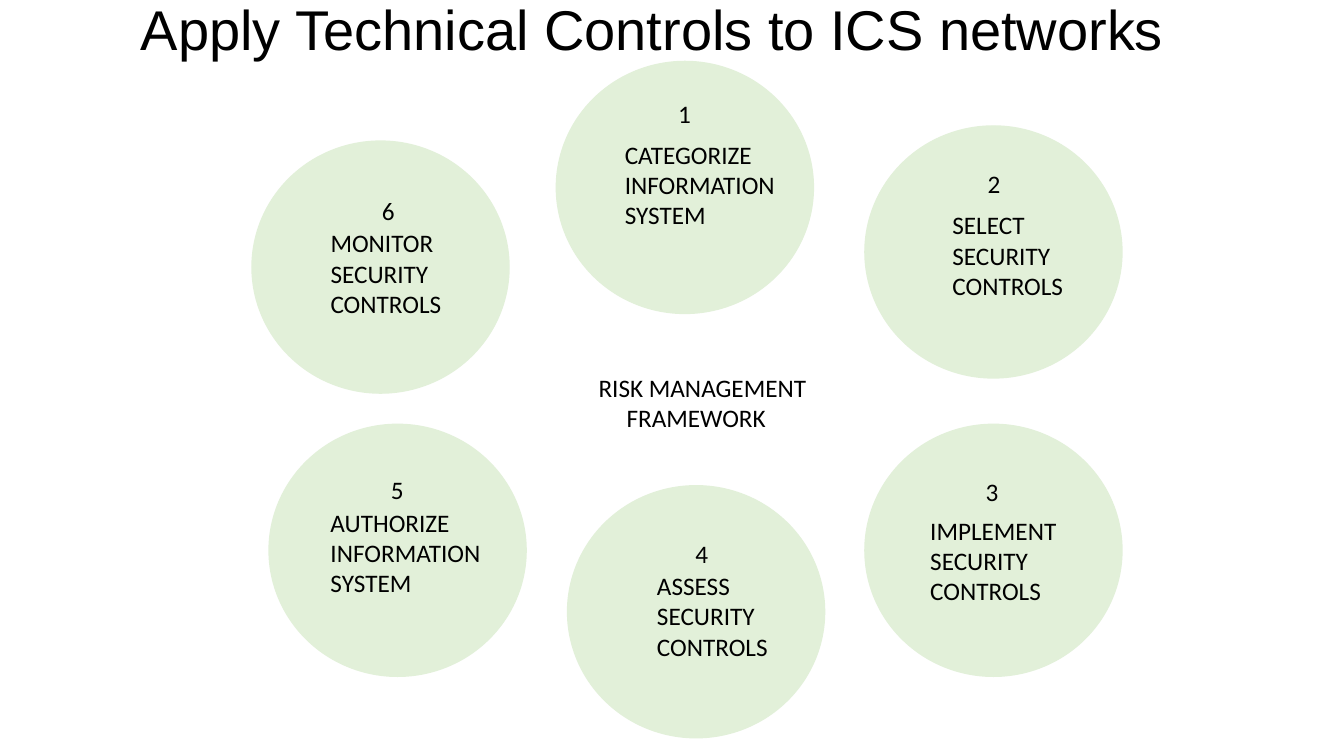
import pptx
import pptx.dml.color
import pptx.enum.shapes
import pptx.enum.text
import pptx.util

Pt = pptx.util.Pt
BLACK = "000000"
PALE_GREEN = "E2F0D9"
CIRCLE_WIDTH, CIRCLE_HEIGHT = 183.6, 180
NUMBER_WIDTH, LINE_HEIGHT, LABEL_HEIGHT = 23.8, 28.8, 72.7

# STEPS
STEPS = [
    ((397.4, 43.9), (80, 23), (41.8, 51.9), 122.4, ["CATEGORIZE", "INFORMATION", "SYSTEM"]),
    ((617.8, 90), (80.6, 26.6), (55.4, 56.2), 94.3, ["SELECT", "SECURITY", "CONTROLS"]),
    ((617.8, 303.1), (79.2, 33.9), (39.6, 61.2), 105.1, ["IMPLEMENT", "SECURITY", "CONTROLS"]),
    ((405.4, 347), (84.2, 33.9), (56.8, 56.9), 94.3, ["ASSESS", "SECURITY", "CONTROLS"]),
    ((192.2, 303.1), (80, 32.4), (36.8, 55.5), 122.4, ["AUTHORIZE", "INFORMATION", "SYSTEM"]),
    ((180, 100.8), (85.7, 35.3), (49, 58.3), 94.3, ["MONITOR", "SECURITY", "CONTROLS"]),
]


def color(hex_string):
    return pptx.dml.color.RGBColor.from_string(hex_string)


def add_text(slide, box, lines, size=18, font_name="Calibri", wrap=False):
    shape = slide.shapes.add_textbox(*map(Pt, box))
    frame = shape.text_frame
    frame.word_wrap = wrap
    frame.auto_size = pptx.enum.text.MSO_AUTO_SIZE.SHAPE_TO_FIT_TEXT
    for index, line in enumerate(lines):
        paragraph = frame.add_paragraph() if index else frame.paragraphs[0]
        run = paragraph.add_run()
        run.text = line
        run.font.size = Pt(size)
        run.font.name = font_name
        run.font.color.rgb = color(BLACK)
    return shape


def add_title(slide, box):
    add_text(slide, box, ["Apply Technical Controls to ICS networks"], 40, "Arial", True)


def add_center_label(slide, box):
    shape = add_text(slide, box, ["RISK MANAGEMENT", "FRAMEWORK"])
    properties = shape.text_frame.paragraphs[1]._p.get_or_add_pPr()
    properties.set("marL", str(Pt(20)))


def add_step(slide, box, number, number_offset, label_offset, label_width, label):
    left, top, width, height = box
    circle = slide.shapes.add_shape(pptx.enum.shapes.MSO_SHAPE.OVAL, *map(Pt, box))
    circle.shadow.inherit = False
    circle.fill.solid()
    circle.fill.fore_color.rgb = color(PALE_GREEN)
    circle.line.color.rgb = color(PALE_GREEN)
    circle.line.width = Pt(1)
    number_box = (left + number_offset[0], top + number_offset[1], NUMBER_WIDTH, LINE_HEIGHT)
    add_text(slide, number_box, [str(number)])
    label_box = (left + label_offset[0], top + label_offset[1], label_width, LABEL_HEIGHT)
    add_text(slide, label_box, label)


def main():
    presentation = pptx.Presentation()
    presentation.slide_width = Pt(960)
    presentation.slide_height = Pt(540)
    slide = presentation.slides.add_slide(presentation.slide_layouts[6])
    add_title(slide, (93.6, -7.2, 807, 55.4))
    add_center_label(slide, (420.5, 262.1, 168.5, 51.1))
    for number, (corner, number_offset, label_offset, label_width, label) in enumerate(STEPS, 1):
        box = (*corner, CIRCLE_WIDTH, CIRCLE_HEIGHT)
        add_step(slide, box, number, number_offset, label_offset, label_width, label)
    presentation.save("out.pptx")


if __name__ == "__main__":
    main()
